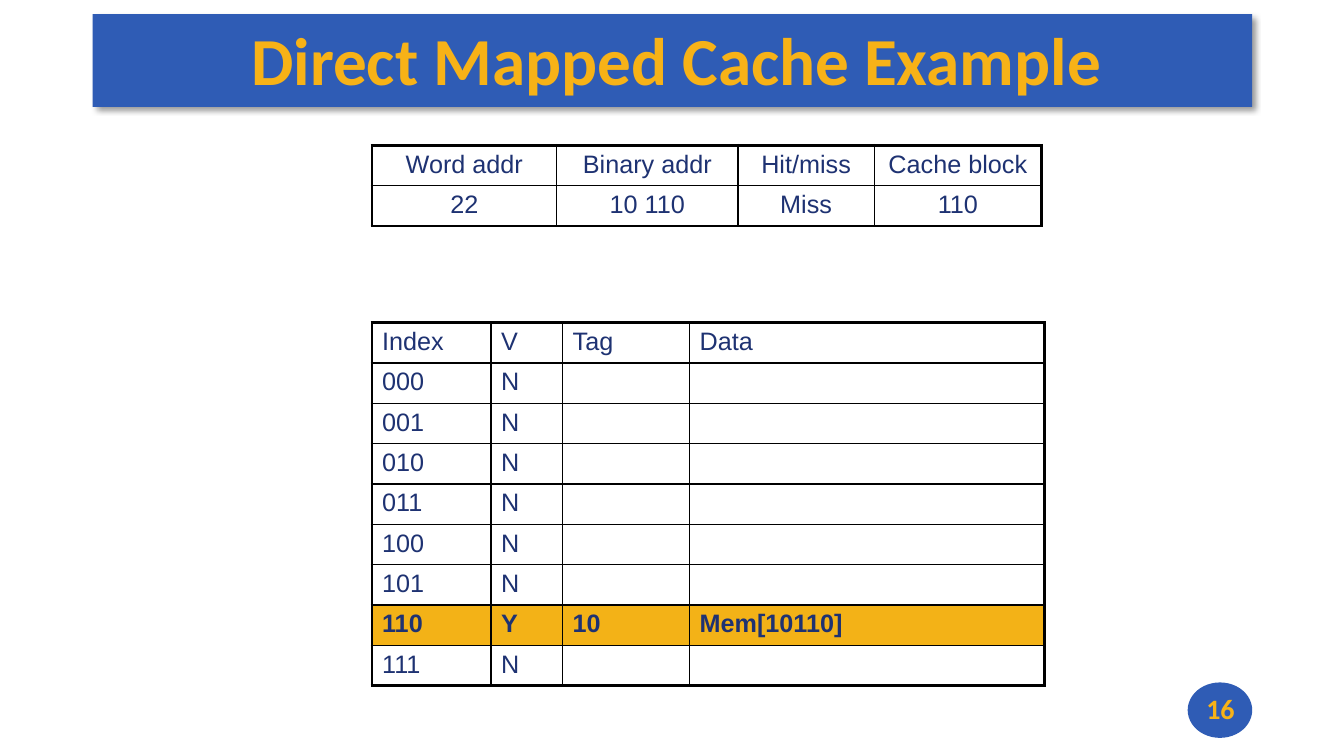
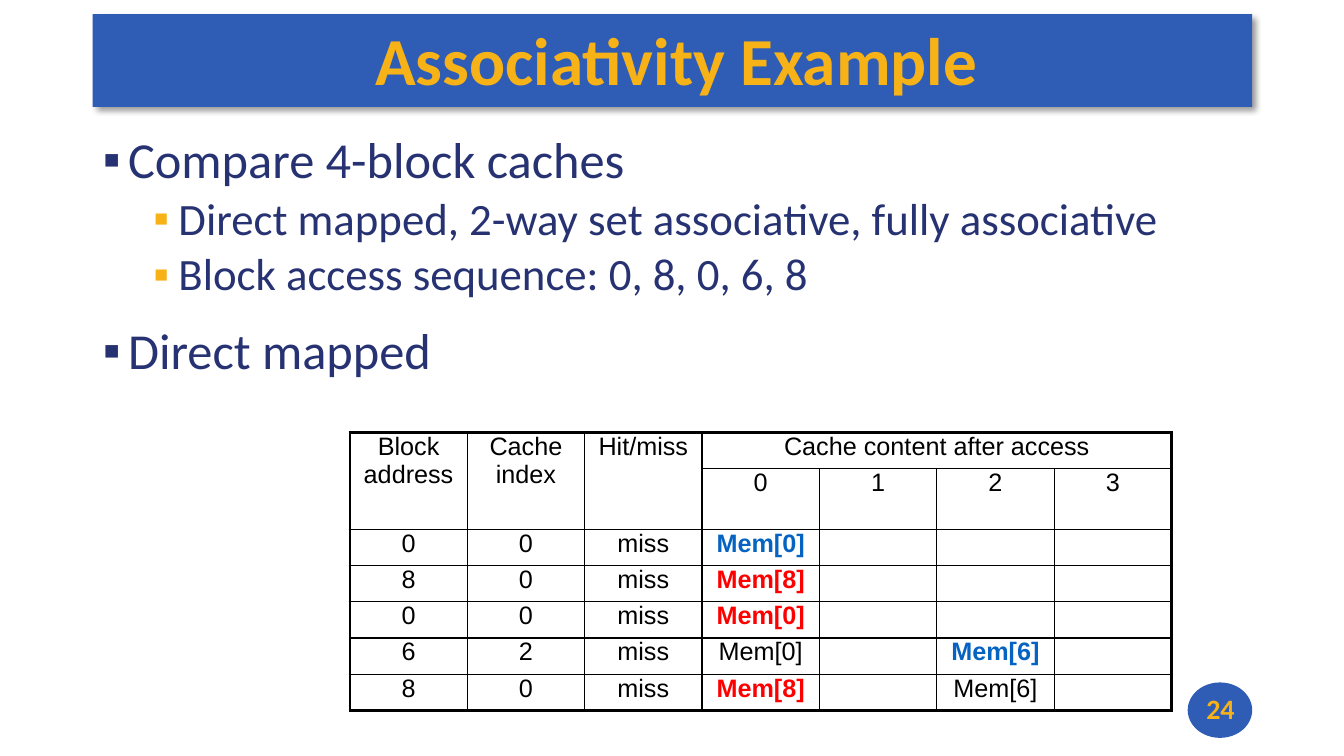
from lxml import etree
from pptx import Presentation
from pptx.dml.color import RGBColor
from pptx.enum.shapes import MSO_SHAPE as SHAPE
from pptx.enum.text import MSO_ANCHOR as ANCHOR, MSO_AUTO_SIZE as AUTO, PP_ALIGN as ALIGN
from pptx.oxml import parse_xml
from pptx.oxml.ns import nsdecls, qn
from pptx.util import Inches, Pt

BLUE = RGBColor(0x2F, 0x5C, 0xB5)
GOLD = RGBColor(0xF7, 0xB2, 0x17)
ROW_GOLD = RGBColor(0xF3, 0xB2, 0x17)
NAVY = RGBColor(0x27, 0x32, 0x72)
TABLE_NAVY = RGBColor(0x1E, 0x32, 0x72)
BLACK = RGBColor(0, 0, 0)
RED = RGBColor(0xFF, 0, 0)
LINK_BLUE = RGBColor(0x05, 0x63, 0xC1)

HEAD_FONT, TABLE_FONT = "Calibri", "Arial"
BAND = (0.92, 0.14, 11.5, 0.92)
TITLE = (0.92, 0.12, 11.5, 0.92)
BADGE = (11.78, 6.77, 0.64, 0.55)
NUMBER = (11.78, 6.77, 0.65, 0.52)
BODY = (0.92, 1.29, 11.49, 2.64)
OUTER, INNER = 2.25, 1

# Per list level: size, space before, left margin, bullet colour
LEVELS = [(36, 10, 0.25, NAVY), (32, 5, 0.75, GOLD)]


def place(s, box):
    s.left, s.top, s.width, s.height = (Inches(v) for v in box)


def style_runs(p, size, color, bold=False, font=HEAD_FONT):
    for r in p.runs:
        r.font.name, r.font.size, r.font.bold = font, Pt(size), bold
        r.font.color.rgb = color


# Shared band and number badge, moved from a slide to the master
def add_master_parts(prs, slide):
    tree = prs.slide_master.shapes.element
    for i, (kind, box) in enumerate([(SHAPE.RECTANGLE, BAND), (SHAPE.OVAL, BADGE)]):
        s = slide.shapes.add_shape(kind, *(Inches(v) for v in box))
        s.shadow.inherit = False
        s.fill.solid()
        s.fill.fore_color.rgb = BLUE
        s.line.fill.background()
        if kind == SHAPE.RECTANGLE:
            s.element.spPr.find(qn("a:effectLst")).append(parse_xml(
                f'<a:outerShdw {nsdecls("a")} blurRad="{Pt(4)}" dist="{Pt(3)}" dir="2700000" '
                'algn="tl" rotWithShape="0"><a:srgbClr val="000000"><a:alpha val="40000"/>'
                '</a:srgbClr></a:outerShdw>'))
        s.element.nvSpPr.cNvPr.set("id", str(20 + i))
        tree.insert(2 + i, s.element)


# Slide with its title and page number
def add_slide(prs, layout, title, number):
    slide = prs.slides.add_slide(prs.slide_layouts.get_by_name(layout))
    s = slide.shapes.title
    place(s, TITLE)
    tf = s.text_frame
    tf.text = title
    tf.auto_size, tf.vertical_anchor = AUTO.NONE, ANCHOR.MIDDLE
    tf.margin_left, tf.margin_right = Inches(0.08), 0
    tf.margin_top = tf.margin_bottom = Inches(0.03)
    tf.paragraphs[0].alignment = ALIGN.CENTER
    style_runs(tf.paragraphs[0], 48, GOLD, True)

    tf = slide.shapes.add_textbox(*(Inches(v) for v in NUMBER)).text_frame
    tf.text = str(number)
    tf.word_wrap, tf.vertical_anchor = True, ANCHOR.MIDDLE
    tf.paragraphs[0].alignment = ALIGN.CENTER
    style_runs(tf.paragraphs[0], 20, GOLD, True)
    return slide


# Bulleted list of (level, text) in the body placeholder
def fill_body(s, box, items):
    place(s, box)
    tf = s.text_frame
    tf.text = "\n".join(text for _, text in items)
    tf.auto_size, tf.vertical_anchor = AUTO.NONE, ANCHOR.TOP
    for p, (level, _) in zip(tf.paragraphs, items):
        size, before, margin, bullet = LEVELS[level]
        p.level, p.line_spacing, p.space_before = level, 0.9, Pt(before)
        style_runs(p, size, NAVY)
        pPr = p._p.get_or_add_pPr()
        pPr.set("marL", str(Inches(margin)))
        pPr.set("indent", str(Inches(-0.25)))
        color = etree.SubElement(pPr, qn("a:buClr"))
        etree.SubElement(color, qn("a:srgbClr")).set("val", str(bullet))
        etree.SubElement(pPr, qn("a:buFont")).set("typeface", "Arial")
        etree.SubElement(pPr, qn("a:buChar")).set("char", "▪")


def set_borders(cell, widths):
    tcPr = cell._tc.get_or_add_tcPr()
    for side, width in zip("LRTB", widths):
        tcPr.append(parse_xml(
            f'<a:ln{side} {nsdecls("a")} w="{Pt(width)}"><a:solidFill>'
            f'<a:srgbClr val="{BLACK}"/></a:solidFill></a:ln{side}>'))


# Grid with a heavy frame; marks maps (row, column) to a bold text colour
def add_grid(slide, left, top, cols, heights, rows, color, align=ALIGN.CENTER, pad=0.05,
             rule=INNER, merges=(), marks=None, filled_row=None):
    marks = marks or {}
    n_rows, n_cols = len(rows), len(cols)
    table = slide.shapes.add_table(n_rows, n_cols, Inches(left), Inches(top),
                                   Inches(sum(cols)), Inches(sum(heights))).table
    table.first_row = table.horz_banding = False
    for col, width in zip(table.columns, cols):
        col.width = Inches(width)
    for row, height in zip(table.rows, heights):
        row.height = Inches(height)
    for first, last in merges:
        table.cell(*first).merge(table.cell(*last))
    for i, row in enumerate(rows):
        for j, text in enumerate(row):
            cell = table.cell(i, j)
            right = j + (cell.span_width if cell.is_merge_origin else 1)
            bottom = i + (cell.span_height if cell.is_merge_origin else 1)
            set_borders(cell, (
                INNER if j else OUTER,
                OUTER if right == n_cols else INNER,
                {0: OUTER, 1: rule}.get(i, INNER),
                OUTER if bottom == n_rows else rule if bottom == 1 else INNER))
            if i == filled_row:
                cell.fill.solid()
                cell.fill.fore_color.rgb = ROW_GOLD
            else:
                cell.fill.background()
            cell.margin_left = cell.margin_right = Inches(0.1)
            cell.margin_top = cell.margin_bottom = Inches(pad)
            if text:
                cell.text = text
                p = cell.text_frame.paragraphs[0]
                p.alignment = align
                style_runs(p, 18, marks.get((i, j), color),
                           (i, j) in marks or i == filled_row, TABLE_FONT)


def direct_mapped_slide(prs):
    slide = add_slide(prs, "Title Only", "Direct Mapped Cache Example", 16)
    add_master_parts(prs, slide)
    # Cache contents
    entries = {"110": ["Y", "10", "Mem[10110]"]}
    rows = [["Index", "V", "Tag", "Data"]]
    for n in range(8):
        index = f"{n:03b}"
        rows.append([index] + entries.get(index, ["N", "", ""]))
    add_grid(slide, 3.69, 3.2, [1.18, 0.71, 1.26, 3.52], [0.4] * 9, rows, TABLE_NAVY,
             align=ALIGN.LEFT, rule=1.5, filled_row=7)
    # Current access
    add_grid(slide, 3.69, 1.44, [1.83, 1.8, 1.35, 1.66], [0.4] * 2,
             [["Word addr", "Binary addr", "Hit/miss", "Cache block"],
              ["22", "10 110", "Miss", "110"]], TABLE_NAVY, rule=1.5)


def associativity_slide(prs):
    slide = add_slide(prs, "Title and Content", "Associativity Example", 24)
    fill_body(slide.placeholders[1], BODY, [
        (0, "Compare 4-block caches"),
        (1, "Direct mapped, 2-way set associative, fully associative"),
        (1, "Block access sequence: 0, 8, 0, 6, 8"),
        (0, "Direct mapped")])
    slide.placeholders[1].text_frame.paragraphs[-1].space_before = Pt(18)
    # Access history
    rows = [["Block address", "Cache index", "Hit/miss", "Cache content after access", "", "", ""],
            ["", "", "", "0", "1", "2", "3"],
            ["0", "0", "miss", "Mem[0]", "", "", ""],
            ["8", "0", "miss", "Mem[8]", "", "", ""],
            ["0", "0", "miss", "Mem[0]", "", "", ""],
            ["6", "2", "miss", "Mem[0]", "", "Mem[6]", ""],
            ["8", "0", "miss", "Mem[8]", "", "Mem[6]", ""]]
    merges = [((0, j), (1, j)) for j in range(3)] + [((0, 3), (0, 6))]
    marks = {(2, 3): LINK_BLUE, (3, 3): RED, (4, 3): RED, (5, 5): LINK_BLUE, (6, 3): RED}
    add_grid(slide, 3.47, 4.29, [8.15 / 7] * 7, [0.36, 0.56] + [0.36] * 5, rows, BLACK,
             pad=0, merges=merges, marks=marks)


def main():
    prs = Presentation()
    prs.slide_width, prs.slide_height = Inches(13.33), Inches(7.5)
    direct_mapped_slide(prs)
    associativity_slide(prs)
    prs.save("out.pptx")


if __name__ == "__main__":
    main()
